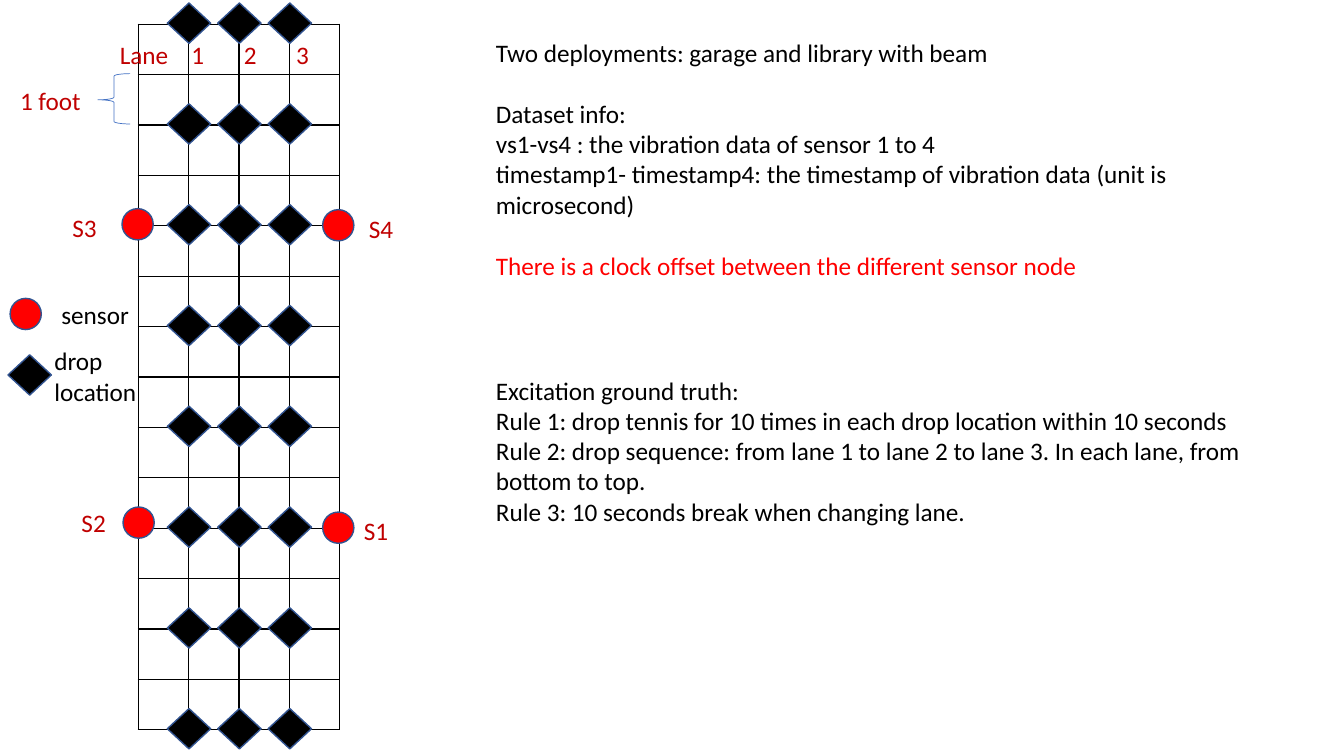
"""Build the sensor and drop location layout slide."""
from dataclasses import dataclass
from lxml import etree
from pptx import Presentation
from pptx.dml.color import RGBColor
from pptx.enum.shapes import MSO_SHAPE
from pptx.oxml.ns import qn
from pptx.util import Inches, Pt


@dataclass(frozen=True)
class Theme:
    font: str = "Calibri"
    size: int = 18
    blank_line: int = 22
    black: str = "000000"
    red: str = "FF0000"
    label: str = "C00000"
    outline: str = "325491"
    brace: str = "4472C4"


THEME = Theme()
GRID_LEFT, GRID_TOP, CELL = 1.37, 0.24, 0.5
GRID_ROWS, GRID_COLUMNS = 14, 4
LANES, DROPS_PER_LANE = 3, 8
FIRST_DROP_LEFT, FIRST_DROP_TOP = 1.66, 0.03
LANE_GAP, DROP_GAP = 0.5, 1.0
SENSOR_SIZE, DROP_SIZE = (0.31, 0.31), (0.43, 0.4)
LABEL_SIZE = (1.31, 0.4)
LANE_TABS = (0.71, 1.23, 1.75)

SENSORS = [
    ("S1", (3.2, 5.08), (3.51, 5.06)),
    ("S2", (1.22, 5.03), (0.71, 4.98)),
    ("S3", (1.21, 2.07), (0.62, 2.06)),
    ("S4", (3.2, 2.08), (3.56, 2.07)),
]
EXCITATION = [
    "Excitation ground truth:",
    "Rule 1: drop tennis for 10 times in each drop location within 10 seconds",
    "Rule 2: drop sequence: from lane 1 to lane 2 to lane 3. In each lane, from bottom to top.",
    "Rule 3: 10 seconds break when changing lane.",
]
DATASET = [
    "Two deployments: garage and library with beam",
    "Dataset info:",
    "vs1-vs4 : the vibration data of sensor 1 to 4",
    "timestamp1- timestamp4: the timestamp of vibration data (unit is microsecond)",
    "There is a clock offset between the different sensor node",
]
DATASET_GAPS_BEFORE = (1, 4)


def add_marker(slide, kind, position, size, line, fill=None, weight=1):
    shape = slide.shapes.add_shape(kind, *map(Inches, position + size))
    shape.shadow.inherit = False
    if fill:
        shape.fill.solid()
        shape.fill.fore_color.rgb = RGBColor.from_string(fill)
    else:
        shape.fill.background()
    shape.line.color.rgb = RGBColor.from_string(line)
    shape.line.width = Pt(weight)
    return shape


def add_sensor(slide, position):
    add_marker(slide, MSO_SHAPE.OVAL, position, SENSOR_SIZE, THEME.outline, THEME.red)


def add_drop(slide, position):
    add_marker(slide, MSO_SHAPE.DIAMOND, position, DROP_SIZE, THEME.outline, THEME.black)


def color_paragraph(paragraph, color):
    for run in paragraph.runs:
        run.font.color.rgb = RGBColor.from_string(color)


def add_text(slide, text, position, size=LABEL_SIZE, color=THEME.label):
    box = slide.shapes.add_textbox(*map(Inches, position + size))
    text_frame = box.text_frame
    text_frame.word_wrap = True
    text_frame.text = text
    for paragraph in text_frame.paragraphs:
        for run in paragraph.runs:
            run.font.name = THEME.font
            run.font.size = Pt(THEME.size)
        color_paragraph(paragraph, color)
    return text_frame.paragraphs


def add_grid(slide):
    table = slide.shapes.add_table(
        GRID_ROWS, GRID_COLUMNS, Inches(GRID_LEFT), Inches(GRID_TOP),
        Inches(GRID_COLUMNS * CELL), Inches(GRID_ROWS * CELL)).table
    table.first_row = table.horz_banding = False
    for cell in table.iter_cells():
        properties = cell._tc.get_or_add_tcPr()
        for side in ("a:lnL", "a:lnR", "a:lnT", "a:lnB"):
            border = etree.SubElement(properties, qn(side), w=str(Pt(1)))
            fill = etree.SubElement(border, qn("a:solidFill"))
            etree.SubElement(fill, qn("a:srgbClr"), val=THEME.black)
        cell.fill.background()


def add_lane_header(slide):
    header = add_text(slide, "Lane\t1\t2\t3", (1.09, 0.34), (2.53, 0.4))[0]
    tabs = etree.SubElement(header._p.get_or_add_pPr(), qn("a:tabLst"))
    for position in LANE_TABS:
        etree.SubElement(tabs, qn("a:tab"), pos=str(Inches(position)), algn="l")


def add_foot_scale(slide):
    brace = add_marker(slide, MSO_SHAPE.RIGHT_BRACE, (0.97, 0.73), (0.32, 0.5),
                       THEME.brace, weight=0.5)
    brace.rotation = 180
    brace.adjustments[0], brace.adjustments[1] = 0.08, 0.48
    add_text(slide, "1 foot", (0.1, 0.8))


def add_legend(slide):
    add_sensor(slide, (0.1, 2.96))
    add_drop(slide, (0.08, 3.52))
    add_text(slide, "sensor", (0.51, 2.92), color=THEME.black)
    add_text(slide, "drop location", (0.44, 3.38), (1.31, 0.71), THEME.black)


def add_notes_column(slide):
    add_text(slide, "\n".join(EXCITATION), (4.82, 3.67), (7.71, 1.92), THEME.black)
    paragraphs = add_text(slide, "\n".join(DATASET), (4.82, 0.32), (7.44, 2.52), THEME.black)
    for index in DATASET_GAPS_BEFORE:
        paragraphs[index].space_before = Pt(THEME.blank_line)
    color_paragraph(paragraphs[-1], THEME.red)


presentation = Presentation()
presentation.slide_width = Inches(13.33)
presentation.slide_height = Inches(7.5)
slide = presentation.slides.add_slide(presentation.slide_layouts[6])
add_grid(slide)
for name, marker_position, label_position in SENSORS:
    add_sensor(slide, marker_position)
    add_text(slide, name, label_position)
for row in range(DROPS_PER_LANE):
    for lane in range(LANES):
        add_drop(slide, (FIRST_DROP_LEFT + lane * LANE_GAP, FIRST_DROP_TOP + row * DROP_GAP))
add_foot_scale(slide)
add_lane_header(slide)
add_notes_column(slide)
add_legend(slide)
presentation.save("out.pptx")
